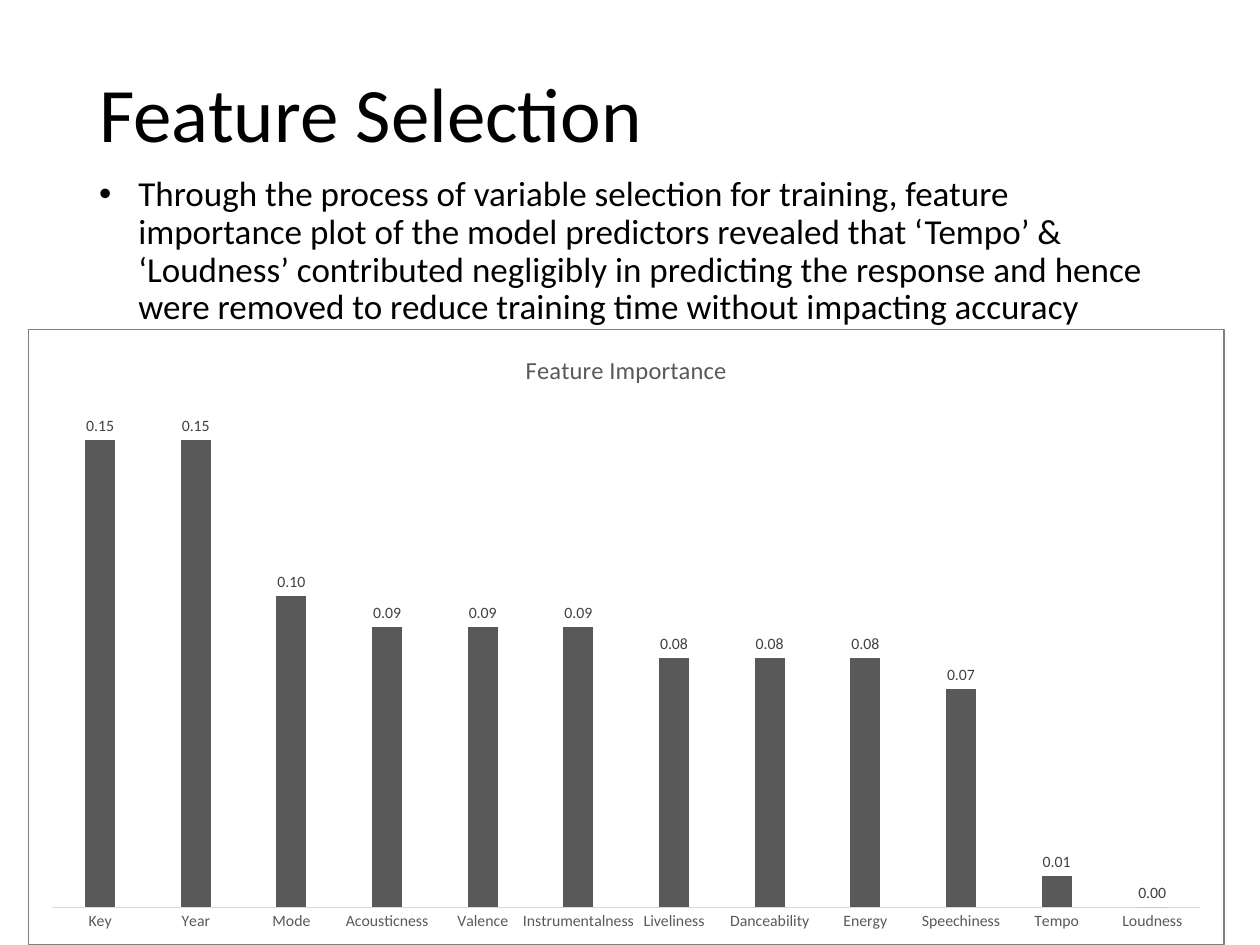
from lxml import etree
from pptx import Presentation
from pptx import util as u
from pptx.chart.data import CategoryChartData
from pptx.dml.color import RGBColor
from pptx.enum import chart as charts, text
from pptx.oxml import parse_xml
from pptx.oxml.ns import nsdecls, qn


def colour(hex_string):
    return RGBColor.from_string(hex_string)


class SlideBuilder:
    """Holds the style and the current slide."""
    FONT = "Calibri"
    BLACK, DARK, GREY = "000000", "404040", "595959"
    BORDER, AXIS = "808080", "D9D9D9"

    def __init__(self, slide):
        self.slide = slide

    def style(self, font, size, hex_string):
        font.name = self.FONT
        font.size = u.Pt(size)
        font.bold = False
        font.color.rgb = colour(hex_string)

    def place(self, shape, left, top, width, height):
        shape.left, shape.top = u.Cm(left), u.Cm(top)
        shape.width, shape.height = u.Cm(width), u.Cm(height)

    def add_words(self, frame, words, size):
        frame.word_wrap = True
        frame.auto_size = text.MSO_AUTO_SIZE.NONE
        para = frame.paragraphs[0]
        para.alignment = text.PP_ALIGN.LEFT
        para.line_spacing = 0.9
        span = para.add_run()
        span.text = words
        self.style(span.font, size, self.BLACK)
        return para

    def title(self, words, *area):
        box = self.slide.shapes.title
        self.place(box, *area)
        box.text_frame.vertical_anchor = text.MSO_ANCHOR.MIDDLE
        self.add_words(box.text_frame, words, 44)

    def bullet(self, words, *area):
        box = self.slide.shapes.add_textbox(*map(u.Cm, area))
        para = self.add_words(box.text_frame, words, 20)
        para.space_before = u.Pt(10)
        properties = para._p.get_or_add_pPr()
        indent = u.Cm(0.79)
        properties.set("marL", str(indent))
        properties.set("indent", str(-indent))
        for tag, key, value in (("a:buFont", "typeface", "Arial"), ("a:buChar", "char", "•")):
            etree.SubElement(properties, qn(tag)).set(key, value)

    def column_chart(self, heading, values, *area):
        data = CategoryChartData(number_format="#,##0.00")
        data.categories = list(values)
        data.add_series("Series 1", list(values.values()))
        chart = self.slide.shapes.add_chart(
            charts.XL_CHART_TYPE.COLUMN_CLUSTERED, *map(u.Cm, area), data).chart
        self.style(chart.font, 10, self.BLACK)
        chart.has_legend = False

        # Heading
        chart.has_title = True
        span = chart.chart_title.text_frame.paragraphs[0].add_run()
        span.text = heading
        self.style(span.font, 14, self.GREY)
        chart.chart_title.include_in_layout = False

        # Axes
        category_axis, value_axis = chart.category_axis, chart.value_axis
        category_axis.major_tick_mark = charts.XL_TICK_MARK.NONE
        self.style(category_axis.tick_labels.font, 9, self.GREY)
        category_axis.format.line.color.rgb = colour(self.AXIS)
        category_axis.format.line.width = u.Pt(0.75)
        value_axis.minimum_scale, value_axis.maximum_scale = 0, 0.16
        value_axis.has_major_gridlines = False
        value_axis.visible = False

        # Columns and their labels
        plot = chart.plots[0]
        plot.gap_width, plot.overlap = 219, -27
        plot.vary_by_categories = False
        fill = plot.series[0].format.fill
        fill.solid()
        fill.fore_color.rgb = colour(self.GREY)
        labels = plot.series[0].data_labels
        labels.show_value = True
        labels.position = charts.XL_LABEL_POSITION.OUTSIDE_END
        labels.number_format = "#,##0.00"
        labels.number_format_is_linked = False
        self.style(labels.font, 9, self.DARK)

        self.arrange_plot(chart, x=0.02, y=0.13, w=0.96, h=0.81)
        self.frame_chart(chart)

    def arrange_plot(self, chart, **shares):
        area = chart._chartSpace.chart.plotArea
        for old in area.findall(qn("c:layout")):
            area.remove(old)
        sizes = "".join(f'<c:{key} val="{share}"/>' for key, share in shares.items())
        area.insert(0, parse_xml(
            f'<c:layout {nsdecls("c")}><c:manualLayout><c:layoutTarget val="inner"/>'
            f'<c:xMode val="edge"/><c:yMode val="edge"/>{sizes}</c:manualLayout></c:layout>'))

    def frame_chart(self, chart):
        chart._chartSpace.chart.addnext(parse_xml(
            f'<c:spPr {nsdecls("c", "a")}><a:noFill/><a:ln w="{u.Pt(0.75)}"><a:solidFill>'
            f'<a:srgbClr val="{self.BORDER}"/></a:solidFill></a:ln></c:spPr>'))


def main():
    deck = Presentation()
    deck.slide_width, deck.slide_height = u.Cm(25.4), u.Cm(19.05)
    page = SlideBuilder(deck.slides.add_slide(deck.slide_layouts[5]))

    # Title and finding
    page.title("Feature Selection", 1.75, 1.02, 21.9, 2.69)
    page.bullet(
        "Through the process of variable selection for training, feature importance plot "
        "of the model predictors revealed that ‘Tempo’ & ‘Loudness’ contributed negligibly "
        "in predicting the response and hence were removed to reduce training time "
        "without impacting accuracy", 1.75, 3.43, 21.9, 3.48)

    # Importance of each feature
    importance = {
        "Key": 0.15, "Year": 0.15, "Mode": 0.10, "Acousticness": 0.09,
        "Valence": 0.09, "Instrumentalness": 0.09, "Liveliness": 0.08,
        "Danceability": 0.08, "Energy": 0.08, "Speechiness": 0.07,
        "Tempo": 0.01, "Loudness": 0,
    }
    page.column_chart("Feature Importance", importance, 0.56, 6.63, 24.13, 12.42)
    deck.save("out.pptx")


if __name__ == "__main__":
    main()
